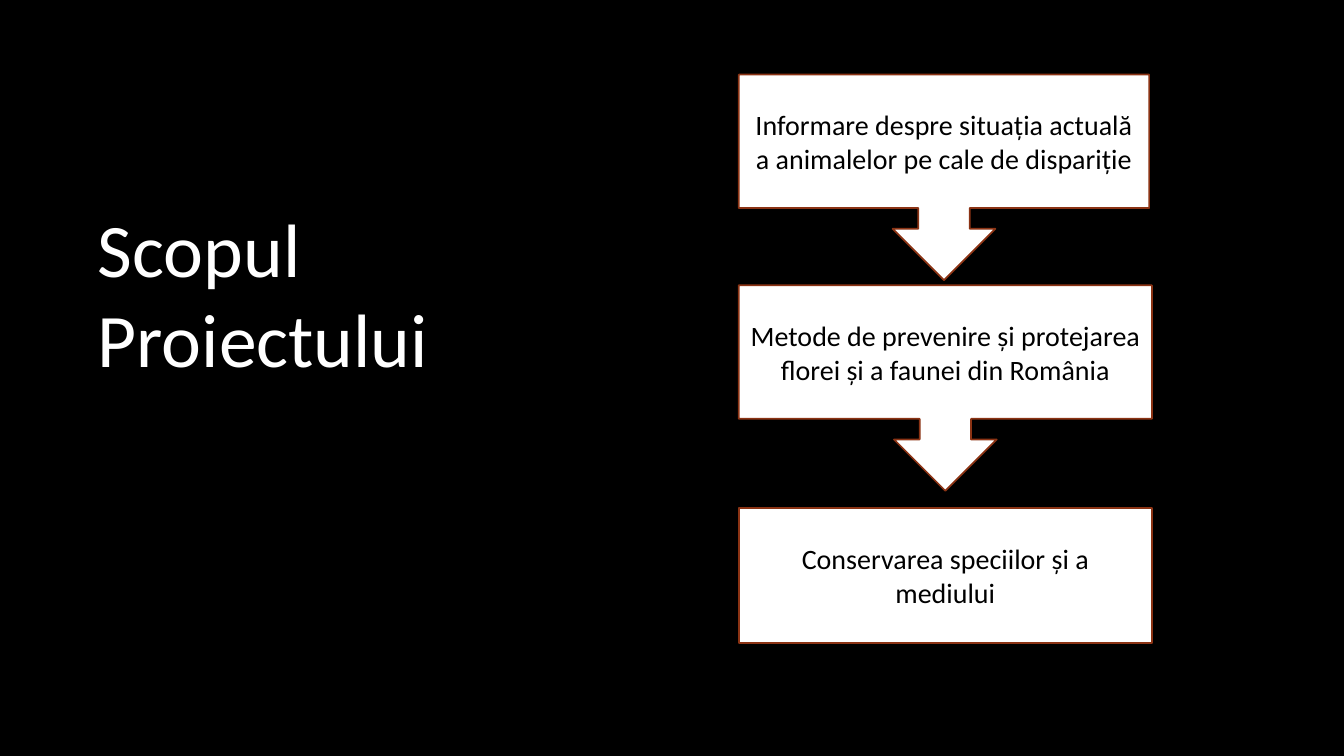
"""Build the project purpose slide with its three-step flow."""
from dataclasses import dataclass

from pptx import Presentation
from pptx.dml.color import RGBColor
from pptx.enum.shapes import MSO_SHAPE
from pptx.enum.text import MSO_ANCHOR, MSO_AUTO_SIZE, PP_ALIGN
from pptx.slide import Slide
from pptx.text.text import Font
from pptx.util import Cm, Pt


@dataclass(frozen=True)
class Theme:
    background: RGBColor = RGBColor(0, 0, 0)
    title_color: RGBColor = RGBColor(255, 255, 255)
    step_fill: RGBColor = RGBColor(255, 255, 255)
    step_text: RGBColor = RGBColor(0, 0, 0)
    step_line: RGBColor = RGBColor(0x8B, 0x33, 0x14)
    line_width: float = 1.25
    font_name: str = "Calibri"
    title_size: int = 54
    step_size: int = 20


@dataclass(frozen=True)
class Step:
    lines: tuple[str, ...]
    top: float
    width: float
    height: float
    outline: MSO_SHAPE


THEME = Theme()
STEP_LEFT = 18.62
STEPS = (
    Step(("Informare despre situația actuală", "a animalelor pe cale de dispariție"),
         1.88, 10.34, 5.18, MSO_SHAPE.DOWN_ARROW_CALLOUT),
    Step(("Metode de prevenire și protejarea florei și a faunei din România",),
         7.19, 10.41, 5.18, MSO_SHAPE.DOWN_ARROW_CALLOUT),
    Step(("Conservarea speciilor și a mediului",),
         12.8, 10.41, 3.4, MSO_SHAPE.RECTANGLE),
)


def style_font(font: Font, size: int, color: RGBColor) -> None:
    font.name = THEME.font_name
    font.size = Pt(size)
    font.color.rgb = color


def place_title(page: Slide, text: str) -> None:
    title = page.shapes.title
    title.left, title.top = Cm(2.21), Cm(4.95)
    title.width, title.height = Cm(10.13), Cm(4.88)
    frame = title.text_frame
    frame.text = text
    frame.word_wrap = True
    frame.auto_size = MSO_AUTO_SIZE.SHAPE_TO_FIT_TEXT
    frame.vertical_anchor = MSO_ANCHOR.TOP
    para = frame.paragraphs[0]
    para.alignment = PP_ALIGN.LEFT
    style_font(para.font, THEME.title_size, THEME.title_color)


def draw_step(page: Slide, step: Step) -> None:
    box = page.shapes.add_shape(
        step.outline, Cm(STEP_LEFT), Cm(step.top), Cm(step.width), Cm(step.height))
    box.shadow.inherit = False
    box.fill.solid()
    box.fill.fore_color.rgb = THEME.step_fill
    box.line.color.rgb = THEME.step_line
    box.line.width = Pt(THEME.line_width)
    frame = box.text_frame
    frame.text = "\n".join(step.lines)
    frame.word_wrap = True
    frame.vertical_anchor = MSO_ANCHOR.MIDDLE
    for para in frame.paragraphs:
        para.alignment = PP_ALIGN.CENTER
        style_font(para.font, THEME.step_size, THEME.step_text)


def main() -> None:
    deck = Presentation()
    deck.slide_width, deck.slide_height = Cm(33.87), Cm(19.05)
    page = deck.slides.add_slide(deck.slide_layouts.get_by_name("Title Only"))
    page.background.fill.solid()
    page.background.fill.fore_color.rgb = THEME.background
    place_title(page, "Scopul Proiectului")
    for step in STEPS:
        draw_step(page, step)
    deck.save("out.pptx")


if __name__ == "__main__":
    main()
